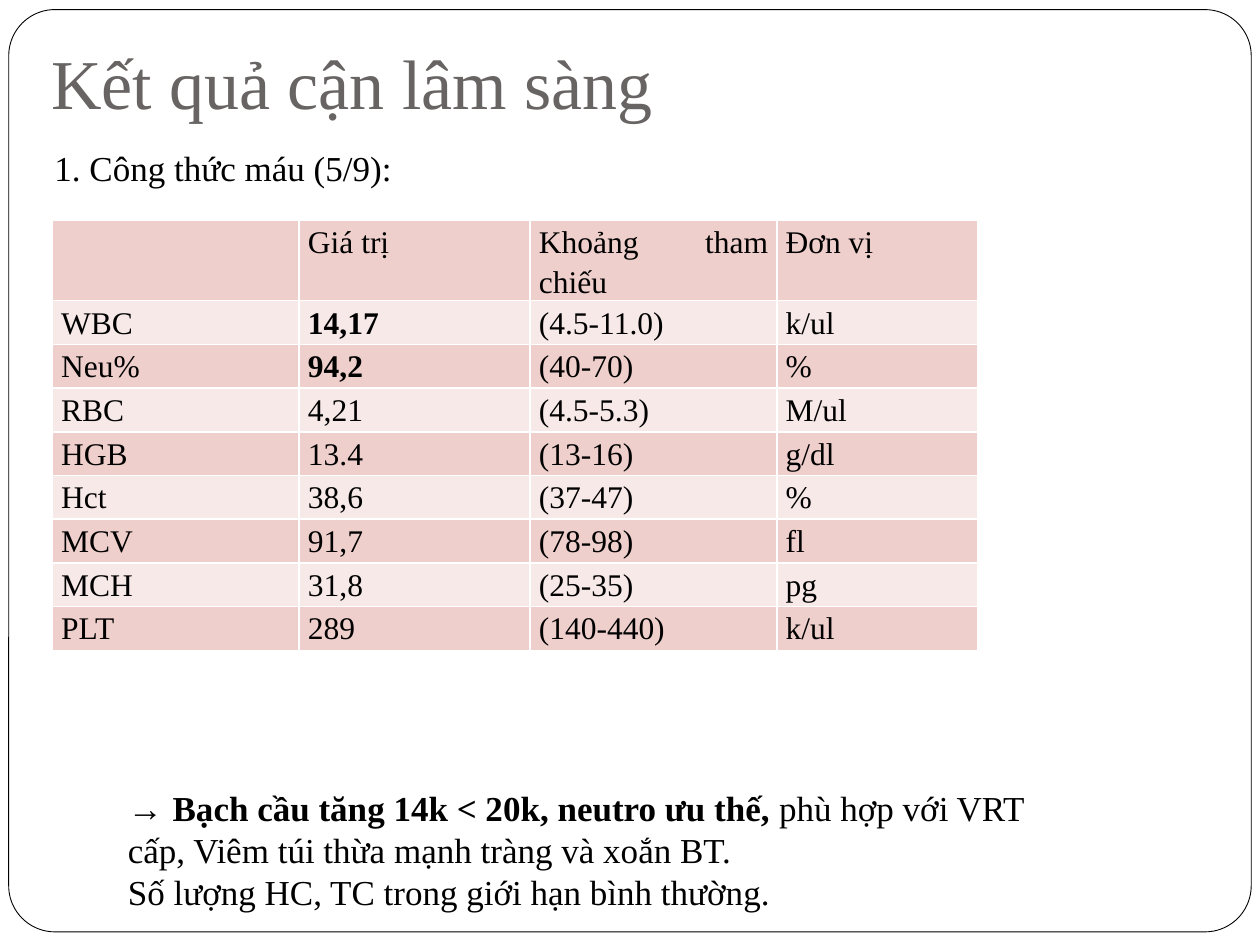
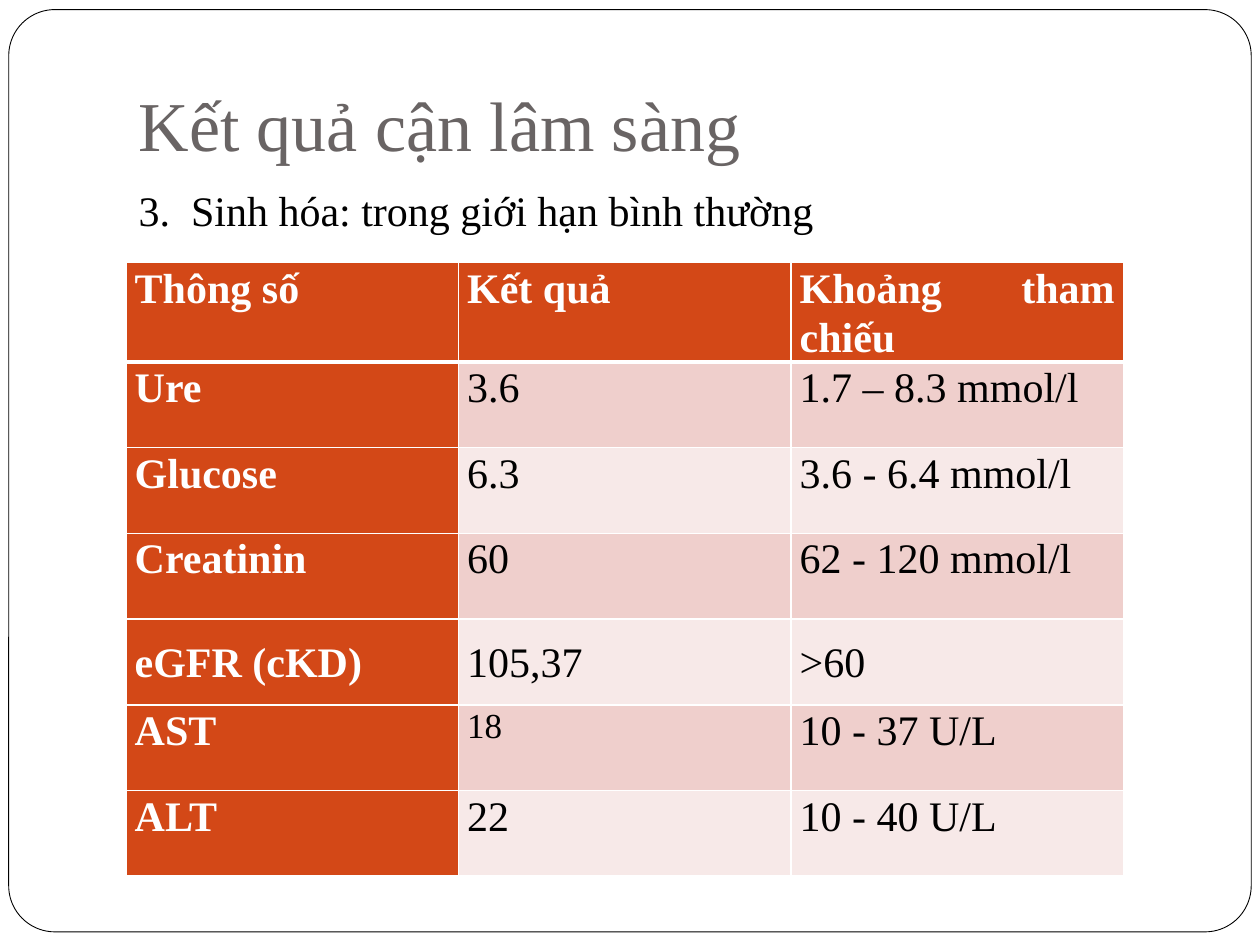
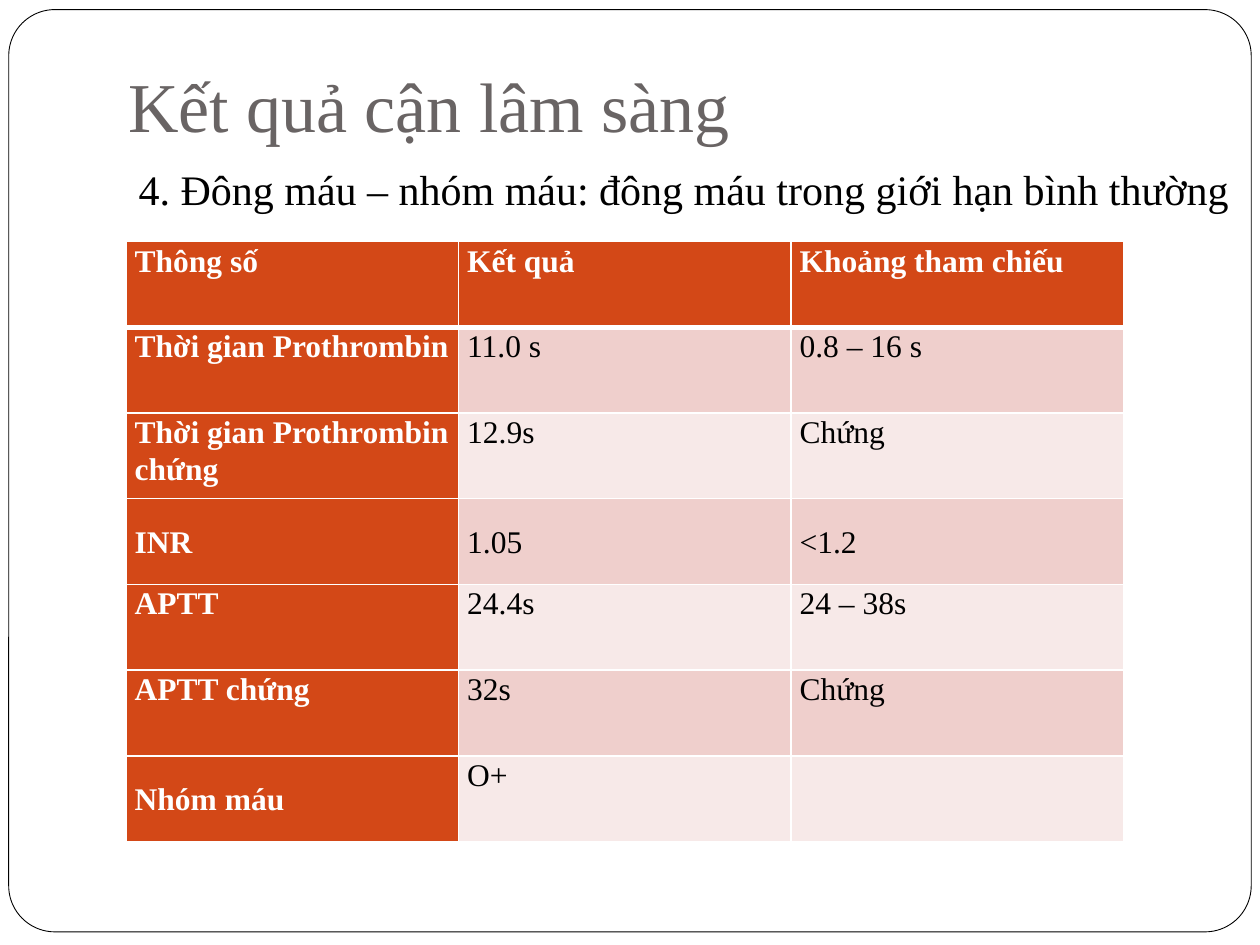
from lxml import etree
from pptx import Presentation
from pptx.dml.color import RGBColor
from pptx.enum.shapes import MSO_SHAPE
from pptx.enum.text import MSO_ANCHOR, MSO_AUTO_SIZE, PP_ALIGN
from pptx.oxml.ns import qn
from pptx.util import Pt

ROUNDED = MSO_SHAPE.ROUNDED_RECTANGLE
LEFT, JUSTIFY = PP_ALIGN.LEFT, PP_ALIGN.JUSTIFY
TOP, MIDDLE, BOTTOM = MSO_ANCHOR.TOP, MSO_ANCHOR.MIDDLE, MSO_ANCHOR.BOTTOM
NO_AUTOFIT = MSO_AUTO_SIZE.NONE

FONT = "Times New Roman"
TITLE = "Kết quả cận lâm sàng"
COLORS = {
    "white": "FFFFFF",
    "black": "000000",
    "title": "696464",
    "accent": "D34817",
    "dark band": "EFCFCC",
    "light band": "F7E9E8",
}
TITLE_ONLY, TITLE_AND_BODY = 5, 1

BLOOD_COUNT = [
    ["", "Giá trị", "Khoảng tham chiếu", "Đơn vị"],
    ["WBC", "14,17", "(4.5-11.0)", "k/ul"],
    ["Neu%", "94,2", "(40-70)", "%"],
    ["RBC", "4,21", "(4.5-5.3)", "M/ul"],
    ["HGB", "13.4", "(13-16)", "g/dl"],
    ["Hct", "38,6", "(37-47)", "%"],
    ["MCV", "91,7", "(78-98)", "fl"],
    ["MCH", "31,8", "(25-35)", "pg"],
    ["PLT", "289", "(140-440)", "k/ul"],
]
RESULT_HEADER = ["Thông số", "Kết quả", "Khoảng tham chiếu"]
BIOCHEMISTRY = [
    RESULT_HEADER,
    ["Ure", "3.6", "1.7 – 8.3 mmol/l"],
    ["Glucose", "6.3", "3.6 - 6.4 mmol/l"],
    ["Creatinin", "60", "62 - 120 mmol/l"],
    ["eGFR (cKD)", "105,37", ">60"],
    ["AST", "18", "10 - 37 U/L"],
    ["ALT", "22", "10 - 40 U/L"],
]
COAGULATION = [
    RESULT_HEADER,
    ["Thời gian Prothrombin", "11.0 s", "0.8 – 16 s"],
    ["Thời gian Prothrombin chứng", "12.9s", "Chứng"],
    ["INR", "1.05", "<1.2"],
    ["APTT", "24.4s", "24 – 38s"],
    ["APTT chứng", "32s", "Chứng"],
    ["Nhóm máu", "O+", ""],
]


def rgb(name):
    return RGBColor.from_string(COLORS[name])


def add_run(paragraph, text, size, color="black", bold=False, font=FONT):
    run = paragraph.add_run()
    run.text = text
    run.font.name = font
    run.font.size = Pt(size)
    run.font.bold = bold
    run.font.color.rgb = rgb(color)


def place(shape, left, top, width, height):
    shape.left, shape.top = Pt(left), Pt(top)
    shape.width, shape.height = Pt(width), Pt(height)


def add_master_frame(presentation, slide):
    frame = slide.shapes.add_shape(ROUNDED, Pt(5), Pt(5.5), Pt(710), Pt(527))
    frame.adjustments[0] = 0.05
    frame.shadow.inherit = False
    frame.fill.solid()
    frame.fill.fore_color.rgb = rgb("white")
    frame.line.color.rgb = rgb("black")
    frame.line.width = Pt(0.5)
    presentation.slide_master.element.cSld.spTree.insert(2, frame.element)


def add_titled_slide(presentation, layout, left, top):
    slide = presentation.slides.add_slide(presentation.slide_layouts[layout])
    title = slide.shapes.title
    place(title, left, top, 612, 90)
    frame = title.text_frame
    frame.auto_size = NO_AUTOFIT
    frame.vertical_anchor = BOTTOM
    frame.margin_bottom = Pt(7.2)
    paragraph = frame.paragraphs[0]
    paragraph.alignment = LEFT
    add_run(paragraph, TITLE, 40, "title")
    return slide


def fill_body(slide, text, top, width):
    body = slide.placeholders[1]
    place(body, 72, top, width, 360)
    body.text_frame.auto_size = NO_AUTOFIT
    paragraph = body.text_frame.paragraphs[0]
    properties = paragraph._p.get_or_add_pPr()
    properties.set("marL", "0")
    properties.set("indent", "0")
    etree.SubElement(properties, qn("a:buNone"))
    paragraph.space_before = Pt(0)
    add_run(paragraph, text, 24)


def add_text(slide, left, top, width, height, paragraphs):
    box = slide.shapes.add_textbox(Pt(left), Pt(top), Pt(width), Pt(height))
    frame = box.text_frame
    frame.word_wrap = True
    for index, runs in enumerate(paragraphs):
        paragraph = frame.add_paragraph() if index else frame.paragraphs[0]
        for text, style in runs:
            add_run(paragraph, text, 20, **style)


def set_borders(cell, top_width, bottom_width):
    properties = cell._tc.get_or_add_tcPr()
    widths = {"lnL": 1, "lnR": 1, "lnT": top_width, "lnB": bottom_width}
    for side, width in widths.items():
        line = etree.SubElement(properties, qn(f"a:{side}"), w=str(Pt(width)))
        fill = etree.SubElement(line, qn("a:solidFill"))
        etree.SubElement(fill, qn("a:srgbClr"), val=COLORS["white"])


def format_cell(cell, text, fill, anchor, alignment, spacing, space_after, **style):
    cell.margin_left = cell.margin_right = Pt(5)
    cell.margin_top = cell.margin_bottom = Pt(0)
    cell.vertical_anchor = anchor
    cell.fill.solid()
    cell.fill.fore_color.rgb = rgb(fill)
    paragraph = cell.text_frame.paragraphs[0]
    paragraph.alignment = alignment
    paragraph.line_spacing = spacing
    paragraph.space_after = Pt(space_after)
    if text:
        add_run(paragraph, text, **style)


def add_table(slide, rows, left, top, widths, heights, size, accented=True,
              middle=(), bold=(), sizes=None):
    graphic = slide.shapes.add_table(len(rows), len(widths), Pt(left), Pt(top),
                                     Pt(sum(widths)), Pt(sum(heights)))
    table = graphic.table
    table.first_row = accented
    table.first_col = accented
    table.horz_banding = False
    for column, width in zip(table.columns, widths):
        column.width = Pt(width)
    for row, height in zip(table.rows, heights):
        row.height = Pt(height)
    for r, row in enumerate(rows):
        band = "dark band" if r % 2 == accented else "light band"
        for c, text in enumerate(row):
            cell = table.cell(r, c)
            heading = accented and (r == 0 or c == 0)
            set_borders(cell, 3 if accented and r == 1 else 1,
                        3 if accented and r == 0 else 1)
            format_cell(
                cell, text,
                fill="accent" if heading else band,
                anchor=MIDDLE if (r, c) in middle else TOP,
                alignment=LEFT if accented and c == 0 else JUSTIFY,
                spacing=1.07 if accented else 1.15,
                space_after=8 if accented else 0,
                size=(sizes or {}).get((r, c), size),
                color="white" if heading else "black",
                bold=heading or (r, c) in bold,
            )


def add_blood_count(presentation):
    slide = add_titled_slide(presentation, TITLE_ONLY, 22, -12)
    add_table(slide, BLOOD_COUNT, 30, 126, [141, 132, 141, 115],
              [45.7] + [25] * 8, 18, accented=False, bold={(1, 1), (2, 1)})
    add_text(slide, 24, 80, 216, 32, [[("1. Công thức máu (5/9):", {})]])
    add_text(slide, 66, 446, 532, 79, [
        [
            ("→ ", {"bold": True, "font": "Arial"}),
            ("Bạch cầu tăng 14k < 20k, neutro ưu thế, ", {"bold": True}),
            ("phù hợp với VRT cấp, Viêm túi thừa mạnh tràng và xoắn BT.", {}),
        ],
        [("Số lượng HC, TC trong giới hạn bình thường.", {})],
    ])
    return slide


def add_biochemistry(presentation):
    slide = add_titled_slide(presentation, TITLE_AND_BODY, 72, 12)
    fill_body(slide, "3.  Sinh hóa: trong giới hạn bình thường", 102, 612)
    add_table(slide, BIOCHEMISTRY, 72, 150, [190] * 3, [56] + [49] * 6, 24,
              middle={(4, 0), (4, 1), (4, 2)}, sizes={(5, 1): 20})


def add_coagulation(presentation):
    slide = add_titled_slide(presentation, TITLE_AND_BODY, 66, 1)
    fill_body(slide, "4. Đông máu – nhóm máu: đông máu trong giới hạn bình thường", 90, 648)
    add_table(slide, COAGULATION, 72, 138, [190] * 3, [49] * 7, 18,
              middle={(3, 0), (3, 1), (3, 2), (6, 0)})


def main():
    presentation = Presentation()
    presentation.slide_width, presentation.slide_height = Pt(720), Pt(540)
    first_slide = add_blood_count(presentation)
    add_master_frame(presentation, first_slide)
    add_biochemistry(presentation)
    add_coagulation(presentation)
    presentation.save("out.pptx")


if __name__ == "__main__":
    main()
